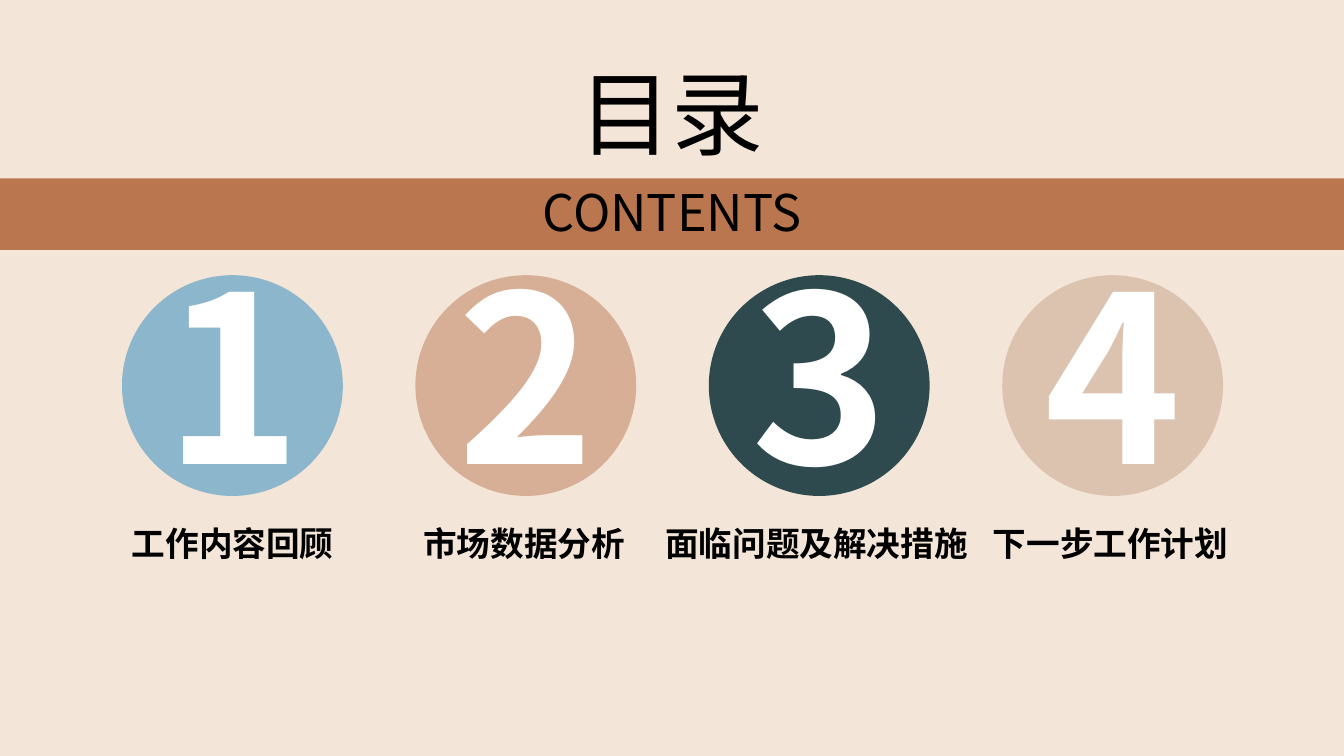
import pptx
import pptx.util
import pptx.dml.color
import pptx.enum.shapes
import pptx.enum.text
import pptx.oxml.ns
import lxml.etree

Inches = pptx.util.Inches
Shape = pptx.enum.shapes.MSO_SHAPE
Align = pptx.enum.text.PP_ALIGN

COLORS = {
    "background": "F3E5D8",
    "brown": "BA764F",
    "blue": "8BB6CB",
    "teal": "2E4A4E",
    "sand": "C5A086",
    "black": "000000",
    "white": "FFFFFF",
}


class ContentsSlide:
    font = "Noto Sans CJK SC"
    line_spacing = 0.94

    def __init__(self, deck):
        self.slide = deck.slides.add_slide(deck.slide_layouts[6])
        self.paint(self.slide.background.fill, "background")

    def paint(self, fill, color):
        fill.solid()
        fill.fore_color.rgb = pptx.dml.color.RGBColor.from_string(COLORS[color])

    def label(self, shape, text, size, color="black", bold=False,
              align=Align.CENTER, wrap=True):
        frame = shape.text_frame
        frame.text = text
        frame.word_wrap = wrap
        frame.auto_size = pptx.enum.text.MSO_AUTO_SIZE.NONE
        frame.vertical_anchor = pptx.enum.text.MSO_ANCHOR.MIDDLE
        paragraph = frame.paragraphs[0]
        paragraph.alignment = align
        paragraph.line_spacing = self.line_spacing
        run = paragraph.runs[0]
        run.font.size = pptx.util.Pt(size)
        run.font.bold = bold
        run.font.name = self.font
        self.paint(run.font.fill, color)
        east_asian = lxml.etree.SubElement(
            run._r.get_or_add_rPr(), pptx.oxml.ns.qn("a:ea"))
        east_asian.set("typeface", self.font)

    def shape(self, kind, box, color, alpha=None):
        shape = self.slide.shapes.add_shape(kind, *map(Inches, box))
        shape.shadow.inherit = False
        shape.line.fill.background()
        self.paint(shape.fill, color)
        if alpha is not None:
            tint = shape._element.spPr.find(".//" + pptx.oxml.ns.qn("a:srgbClr"))
            lxml.etree.SubElement(tint, pptx.oxml.ns.qn("a:alpha")).set(
                "val", str(alpha * 1000))
        return shape

    def text(self, box, text, size, **style):
        self.label(self.slide.shapes.add_textbox(*map(Inches, box)),
                   text, size, **style)


def main():
    deck = pptx.Presentation()
    deck.slide_width, deck.slide_height = Inches(13.33), Inches(7.5)
    contents = ContentsSlide(deck)

    # Heading and band
    contents.text((5.21, 0.56, 2.91, 1.21), "目录", 66)
    band = contents.shape(Shape.RECTANGLE, (0, 1.77, 13.33, 0.71), "brown")
    contents.label(band, "CONTENTS", 36)

    # Numbered chapters: title, title left and width, circle colour and opacity
    chapters = [
        ("工作内容回顾", 1.21, 2.2, "blue", None),
        ("市场数据分析", 4.1, 2.2, "brown", 48),
        ("面临问题及解决措施", 6.5, 3.21, "teal", None),
        ("下一步工作计划", 9.75, 2.54, "sand", 48),
    ]
    first_left, pitch, diameter = 1.21, 2.91, 2.19
    for index, (title, left, width, color, alpha) in enumerate(chapters):
        circle = contents.shape(
            Shape.OVAL,
            (first_left + index * pitch, 2.73, diameter, diameter), color, alpha)
        contents.label(circle, str(index + 1), 166, color="white", bold=True)
        contents.text((left, 5.16, width, 0.5), title, 24, bold=True,
                      align=Align.LEFT, wrap=False)

    deck.save("out.pptx")


if __name__ == "__main__":
    main()
